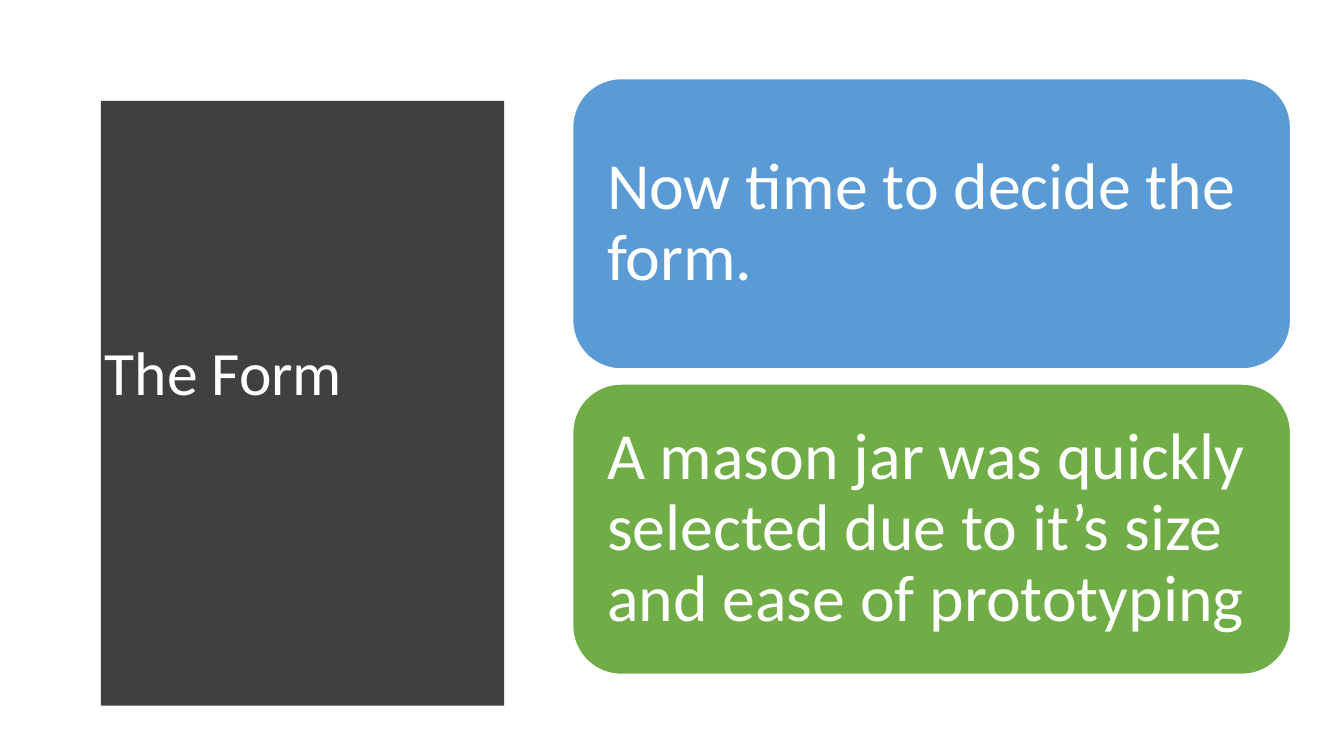
import pptx
import pptx.dml.color
import pptx.enum.shapes
import pptx.enum.text
import pptx.util
from pptx.util import Inches

WHITE = pptx.dml.color.RGBColor(0xFF, 0xFF, 0xFF)
CHARCOAL = pptx.dml.color.RGBColor(0x40, 0x40, 0x40)
BLUE = pptx.dml.color.RGBColor(0x5B, 0x9B, 0xD5)
GREEN = pptx.dml.color.RGBColor(0x70, 0xAD, 0x47)

CARDS = [
    ("Now time to decide the form.", BLUE),
    ("A mason jar was quickly selected due to it’s size and ease of prototyping", GREEN),
]
CARD_TOP, CARD_HEIGHT, CARD_PITCH = 0.78, 2.88, 3.03


def set_text(sp, text, *, size, inset_x, inset_y, font="Calibri", color=WHITE):
    tf = sp.text_frame
    tf.word_wrap = True
    tf.vertical_anchor = pptx.enum.text.MSO_ANCHOR.MIDDLE
    tf.margin_left = tf.margin_right = Inches(inset_x)
    tf.margin_top = tf.margin_bottom = Inches(inset_y)
    p = tf.paragraphs[0]
    p.alignment = pptx.enum.text.PP_ALIGN.LEFT
    p.line_spacing = 0.9
    r = p.add_run()
    r.text = text
    r.font.name = font
    r.font.size = pptx.util.Pt(size)
    r.font.color.rgb = color


def set_fill(sp, color):
    sp.shadow.inherit = False
    sp.fill.solid()
    sp.fill.fore_color.rgb = color


def add_curved_panel(s, left, top, right, bottom, bulge, steps=40):
    """Add a panel whose right side bows outwards by bulge, as a parabola."""
    middle, half = (top + bottom) / 2, (bottom - top) / 2
    points = []
    for i in range(steps + 1):
        t = 2 * i / steps - 1
        points.append((right - bulge * t * t, middle + half * t))
    points.append((left, bottom))
    builder = s.shapes.build_freeform(left, top, scale=Inches(1))
    builder.add_line_segments(points, close=True)
    sp = builder.convert_to_shape()
    set_fill(sp, CHARCOAL)
    sp.line.fill.background()


def add_title(s, text):
    sp = s.shapes.add_textbox(Inches(0.94), Inches(1.11), Inches(3.74), Inches(5.24))
    set_text(sp, text, size=44, inset_x=0.1, inset_y=0.05)


def add_card(s, text, color, top):
    sp = s.shapes.add_shape(
        pptx.enum.shapes.MSO_SHAPE.ROUNDED_RECTANGLE,
        Inches(5.68), Inches(top), Inches(7.12), Inches(CARD_HEIGHT))
    set_fill(sp, color)
    sp.line.color.rgb = WHITE
    sp.line.width = pptx.util.Pt(1)
    set_text(sp, text, size=47, inset_x=0.2, inset_y=0.2)


def main():
    prs = pptx.Presentation()
    prs.slide_width, prs.slide_height = Inches(13.33), Inches(7.5)
    s = prs.slides.add_slide(prs.slide_layouts[6])
    add_curved_panel(s, left=0.53, top=0.52, right=5.32, bottom=6.96, bulge=0.24)
    add_title(s, "The Form")
    for i, (text, color) in enumerate(CARDS):
        add_card(s, text, color, CARD_TOP + i * CARD_PITCH)
    prs.save("out.pptx")


if __name__ == "__main__":
    main()
